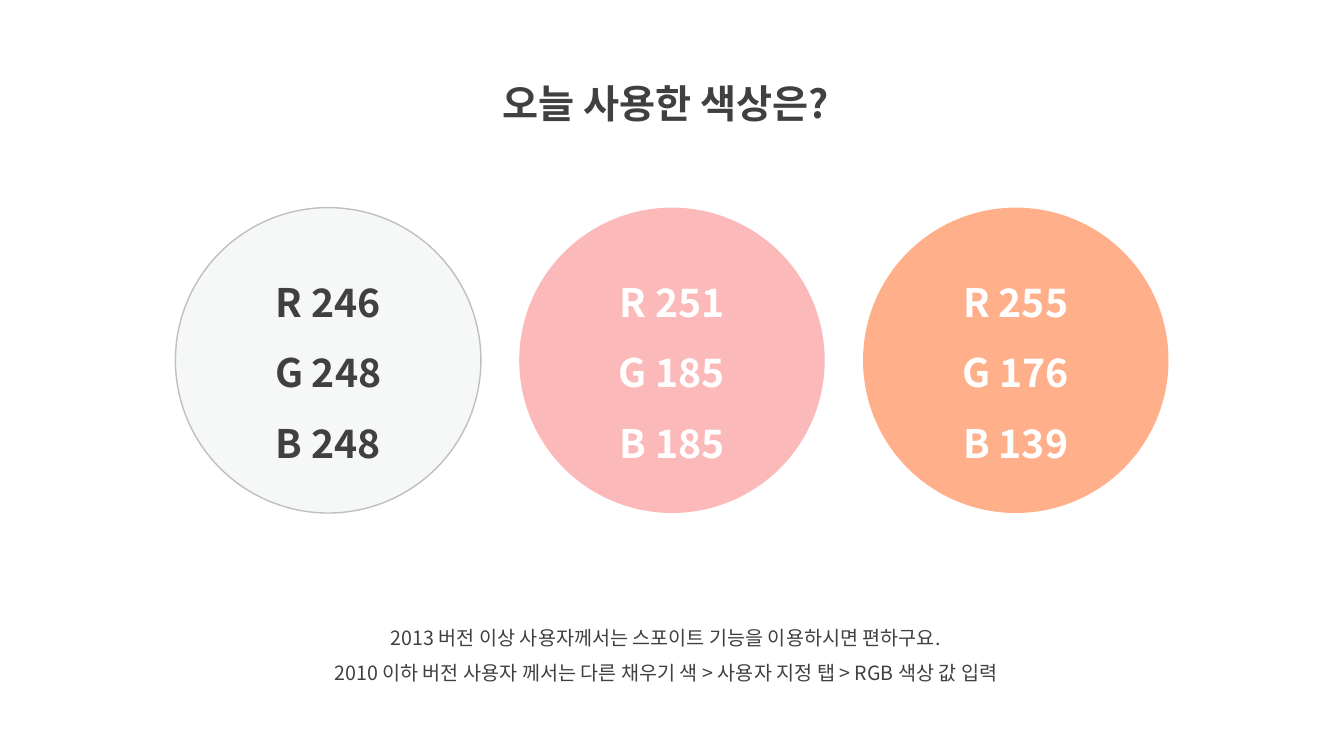
from dataclasses import dataclass

from lxml import etree
from pptx import Presentation
from pptx.dml.color import RGBColor
from pptx.enum import shapes, text
from pptx.oxml.ns import qn
from pptx.util import Inches, Pt


@dataclass(frozen=True)
class Theme:
    font: str = "Noto Sans CJK KR"
    ink: RGBColor = RGBColor(0x40, 0x40, 0x40)
    light: RGBColor = RGBColor(0xFF, 0xFF, 0xFF)
    outline: RGBColor = RGBColor(0xBF, 0xBF, 0xBF)
    heading: Pt = Pt(28)
    note: Pt = Pt(14)
    line_spacing: float = 1.5


class PaletteSlide:
    def __init__(self, slide, theme):
        self.slide = slide
        self.theme = theme

    def set_lines(self, frame, lines, size, color, bold, anchor):
        frame.word_wrap = True
        frame.vertical_anchor = anchor
        frame.text = "\n".join(lines)
        for paragraph in frame.paragraphs:
            paragraph.alignment = text.PP_ALIGN.CENTER
            paragraph.line_spacing = self.theme.line_spacing
            font = paragraph.font
            font.size, font.bold, font.name = size, bold, self.theme.font
            font.color.rgb = color
            # Korean glyphs take the East Asian typeface
            defaults = paragraph._p.pPr.find(qn("a:defRPr"))
            etree.SubElement(defaults, qn("a:ea"), typeface=self.theme.font)

    def title(self, line, left, top, width, height):
        heading = self.slide.shapes.title
        heading.left, heading.top = Inches(left), Inches(top)
        heading.width, heading.height = Inches(width), Inches(height)
        self.set_lines(heading.text_frame, [line], self.theme.heading,
                       self.theme.ink, True, text.MSO_ANCHOR.TOP)
        heading.text_frame.auto_size = text.MSO_AUTO_SIZE.SHAPE_TO_FIT_TEXT

    def note(self, lines, left, top, width, height):
        note = self.slide.shapes.add_textbox(
            Inches(left), Inches(top), Inches(width), Inches(height))
        self.set_lines(note.text_frame, lines, self.theme.note,
                       self.theme.ink, False, text.MSO_ANCHOR.TOP)
        note.text_frame.auto_size = text.MSO_AUTO_SIZE.SHAPE_TO_FIT_TEXT

    def swatch(self, rgb, left, top, diameter, ink, outline=None):
        """Draw a circle filled with rgb and labelled with its channel values."""
        circle = self.slide.shapes.add_shape(
            shapes.MSO_SHAPE.OVAL, Inches(left), Inches(top),
            Inches(diameter), Inches(diameter))
        circle.shadow.inherit = False
        circle.fill.solid()
        circle.fill.fore_color.rgb = RGBColor(*rgb)
        if outline is None:
            circle.line.fill.background()
        else:
            circle.line.color.rgb = outline
            circle.line.width = Pt(1)
        labels = [f"{channel} {value}" for channel, value in zip("RGB", rgb)]
        self.set_lines(circle.text_frame, labels, self.theme.heading,
                       ink, True, text.MSO_ANCHOR.MIDDLE)


def main():
    deck = Presentation()
    deck.slide_width, deck.slide_height = Inches(13.33), Inches(7.5)
    theme = Theme()
    title_only = deck.slide_layouts[5]
    palette = PaletteSlide(deck.slides.add_slide(title_only), theme)

    palette.title("오늘 사용한 색상은?", 4.29, 0.5, 4.63, 0.72)
    palette.note(
        ["2013 버전 이상 사용자께서는 스포이트 기능을 이용하시면 편하구요.",
         "2010 이하 버전 사용자 께서는 다른 채우기 색 > 사용자 지정 탭 > RGB 색상 값 입력"],
        2.61, 6.04, 7.99, 0.81)

    swatches = [
        ((246, 248, 248), theme.ink, theme.outline),
        ((251, 185, 185), theme.light, None),
        ((255, 176, 139), theme.light, None),
    ]
    first_left, pitch = 1.74, 3.41
    for column, (rgb, ink, outline) in enumerate(swatches):
        palette.swatch(rgb, first_left + column * pitch, 2.06, 3.03, ink, outline)

    deck.save("out.pptx")


if __name__ == "__main__":
    main()
